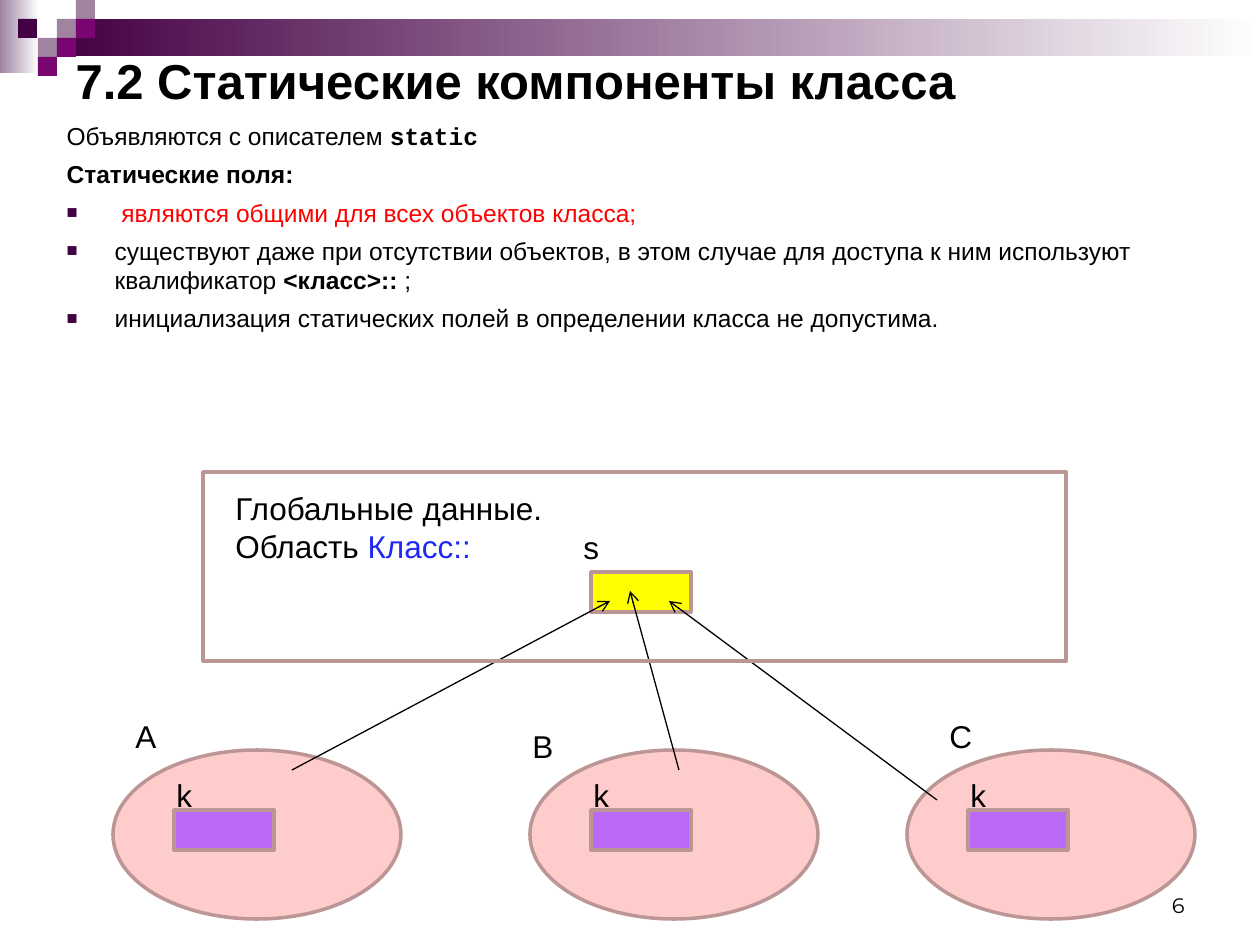
"""Builds the slide on static class members."""
from dataclasses import dataclass
from typing import Optional

from lxml.etree import SubElement
from pptx import Presentation
from pptx.dml.color import RGBColor
from pptx.enum.shapes import MSO_CONNECTOR, MSO_SHAPE
from pptx.enum.text import MSO_ANCHOR, MSO_AUTO_SIZE, PP_ALIGN
from pptx.oxml.ns import qn
from pptx.util import Emu, Pt

COLORS = {
    "black": "000000", "white": "FFFFFF", "red": "FF0000", "blue": "1F29F5",
    "plum": "440044", "magenta": "790571", "mauve": "9F839F",
    "pink": "FFCCCC", "violet": "BA68F8", "yellow": "FFFF00", "outline": "BC9595",
}
SQUARE = 19
INDENT = 48


@dataclass
class Run:
    text: str
    color: str = "black"
    bold: bool = False
    font: Optional[str] = None


@dataclass
class Line:
    runs: list[Run]
    bullet: bool = False


@dataclass
class ClassObject:
    name: str
    left: int
    label_left: int
    label_top: int


@dataclass
class Reference:
    start: tuple[int, int]
    end: tuple[int, int]


OBJECTS = [
    ClassObject("A", 113, 123, 711),
    ClassObject("B", 530, 520, 721),
    ClassObject("C", 907, 937, 711),
]
REFERENCES = [
    Reference((292, 770), (610, 601)),
    Reference((679, 770), (630, 591)),
    Reference((937, 800), (669, 601)),
]
SQUARES = [
    (57, 19, "mauve"), (76, 0, "mauve"), (76, 19, "magenta"), (38, 38, "mauve"),
    (18, 19, "plum"), (57, 38, "magenta"), (38, 57, "magenta"),
]
STATIC_FIELDS = [
    Line([Run("Объявляются с описателем "), Run("static", bold=True, font="Courier New")]),
    Line([Run("Статические поля:", bold=True)]),
    Line([Run(" являются общими для всех объектов класса;", "red")], True),
    Line([
        Run("существуют даже при отсутствии объектов, в этом случае для доступа "
            "к ним используют квалификатор "),
        Run("<класс>:: ", bold=True),
        Run(";"),
    ], True),
    Line([Run("инициализация статических полей в определении класса не допустима.")], True),
]
GLOBAL_DATA = [
    Line([Run("Глобальные данные.")]),
    Line([Run("Область "), Run("Класс::", "blue")]),
]


def px(length: int) -> Emu:
    return Emu(round(length * 914400 / 126))


def rgb(name: str) -> RGBColor:
    return RGBColor.from_string(COLORS[name])


def set_bullet(paragraph, shown: bool) -> None:
    properties = paragraph._p.get_or_add_pPr()
    properties.set("marL", str(px(INDENT)))
    properties.set("indent", str(-px(INDENT)))
    if not shown:
        SubElement(properties, qn("a:buNone"))
        return
    SubElement(SubElement(properties, qn("a:buClr")), qn("a:srgbClr"), val=COLORS["plum"])
    SubElement(properties, qn("a:buSzPct"), val="75000")
    SubElement(properties, qn("a:buFont"), typeface="Arial")
    SubElement(properties, qn("a:buChar"), char="■")


def write_text(frame, lines: list[Line], *, size: int = 18, font: str = "Arial",
               align=PP_ALIGN.LEFT, anchor=MSO_ANCHOR.TOP,
               gap: int = 0, hanging: bool = False) -> None:
    frame.word_wrap = True
    frame.auto_size = MSO_AUTO_SIZE.NONE
    frame.vertical_anchor = anchor
    for index, line in enumerate(lines):
        paragraph = frame.add_paragraph() if index else frame.paragraphs[0]
        if hanging:
            set_bullet(paragraph, line.bullet)
        paragraph.alignment = align
        paragraph.space_before = Pt(gap if index else 0)
        for part in line.runs:
            run = paragraph.add_run()
            run.text = part.text
            run.font.size = Pt(size)
            run.font.name = part.font or font
            run.font.bold = part.bold
            run.font.color.rgb = rgb(part.color)


def place(shape, left: int, top: int, width: int, height: int) -> None:
    shape.left, shape.top = px(left), px(top)
    shape.width, shape.height = px(width), px(height)


def add_label(slide, lines: list[Line], left: int, top: int,
              width: int = 119, height: int = 50, **text_format) -> None:
    label = slide.shapes.add_textbox(px(left), px(top), px(width), px(height))
    write_text(label.text_frame, lines, **text_format)


def add_figure(slide, left: int, top: int, width: int, height: int, *,
               fill: Optional[str] = None, fade: bool = False,
               outline: Optional[str] = "outline", kind=MSO_SHAPE.RECTANGLE) -> None:
    figure = slide.shapes.add_shape(kind, px(left), px(top), px(width), px(height))
    figure.shadow.inherit = False
    if fade:
        figure.fill.gradient()
        figure.fill.gradient_angle = 0
        for stop, color in zip(figure.fill.gradient_stops, (fill, "white")):
            stop.color.rgb = rgb(color)
    elif fill:
        figure.fill.solid()
        figure.fill.fore_color.rgb = rgb(fill)
    else:
        figure.fill.background()
    if outline:
        figure.line.color.rgb = rgb(outline)
        figure.line.width = Pt(2)
    else:
        figure.line.fill.background()


def add_field(slide, name: str, color: str, left: int, top: int, label_left: int,
              label_top: int) -> None:
    add_figure(slide, left, top, 100, 40, fill=color)
    add_label(slide, [Line([Run(name)])], label_left, label_top)


def add_object(slide, item: ClassObject) -> None:
    add_figure(slide, item.left, 750, 288, 169, fill="pink", kind=MSO_SHAPE.OVAL)
    add_label(slide, [Line([Run(item.name)])], item.label_left, item.label_top)
    add_field(slide, "k", "violet", item.left + 61, 810, item.left + 51, 770)


def add_reference(slide, reference: Reference) -> None:
    ends = [px(value) for value in (*reference.start, *reference.end)]
    arrow = slide.shapes.add_connector(MSO_CONNECTOR.STRAIGHT, *ends)
    arrow.line.color.rgb = rgb("black")
    arrow.line.width = Pt(0.75)
    SubElement(arrow.line._get_or_add_ln(), qn("a:tailEnd"), type="arrow")
    SubElement(arrow._element.spPr, qn("a:effectLst"))


def main() -> None:
    presentation = Presentation()
    presentation.slide_width, presentation.slide_height = px(1260), px(945)
    slide = presentation.slides.add_slide(presentation.slide_layouts[1])
    title, body = slide.shapes.title, slide.placeholders[1]

    add_figure(slide, 0, 0, 39, 73, fill="mauve", fade=True, outline=None)
    add_figure(slide, 57, 19, 1203, 37, fill="plum", fade=True, outline=None)
    for left, top, color in SQUARES:
        add_figure(slide, left, top, SQUARE, SQUARE, fill=color, outline=None)

    for placeholder in (title, body):
        slide.shapes._spTree.append(placeholder._element)
    place(title, 63, 45, 1134, 70)
    write_text(title.text_frame, [Line([Run("7.2 Статические компоненты класса", bold=True)])],
               size=28, anchor=MSO_ANCHOR.MIDDLE)
    place(body, 54, 115, 1134, 238)
    write_text(body.text_frame, STATIC_FIELDS, size=14, gap=5, hanging=True)

    for item in OBJECTS:
        add_object(slide, item)
    add_field(slide, "s", "yellow", 591, 572, 571, 522)
    for reference in REFERENCES:
        add_reference(slide, reference)
    add_figure(slide, 203, 472, 863, 189)
    add_label(slide, GLOBAL_DATA, 223, 483, 417, 88)
    add_label(slide, [Line([Run("6")])], 903, 861, 294, 63, size=12, font="Montserrat",
              align=PP_ALIGN.RIGHT, anchor=MSO_ANCHOR.BOTTOM)
    presentation.save("out.pptx")


if __name__ == "__main__":
    main()
